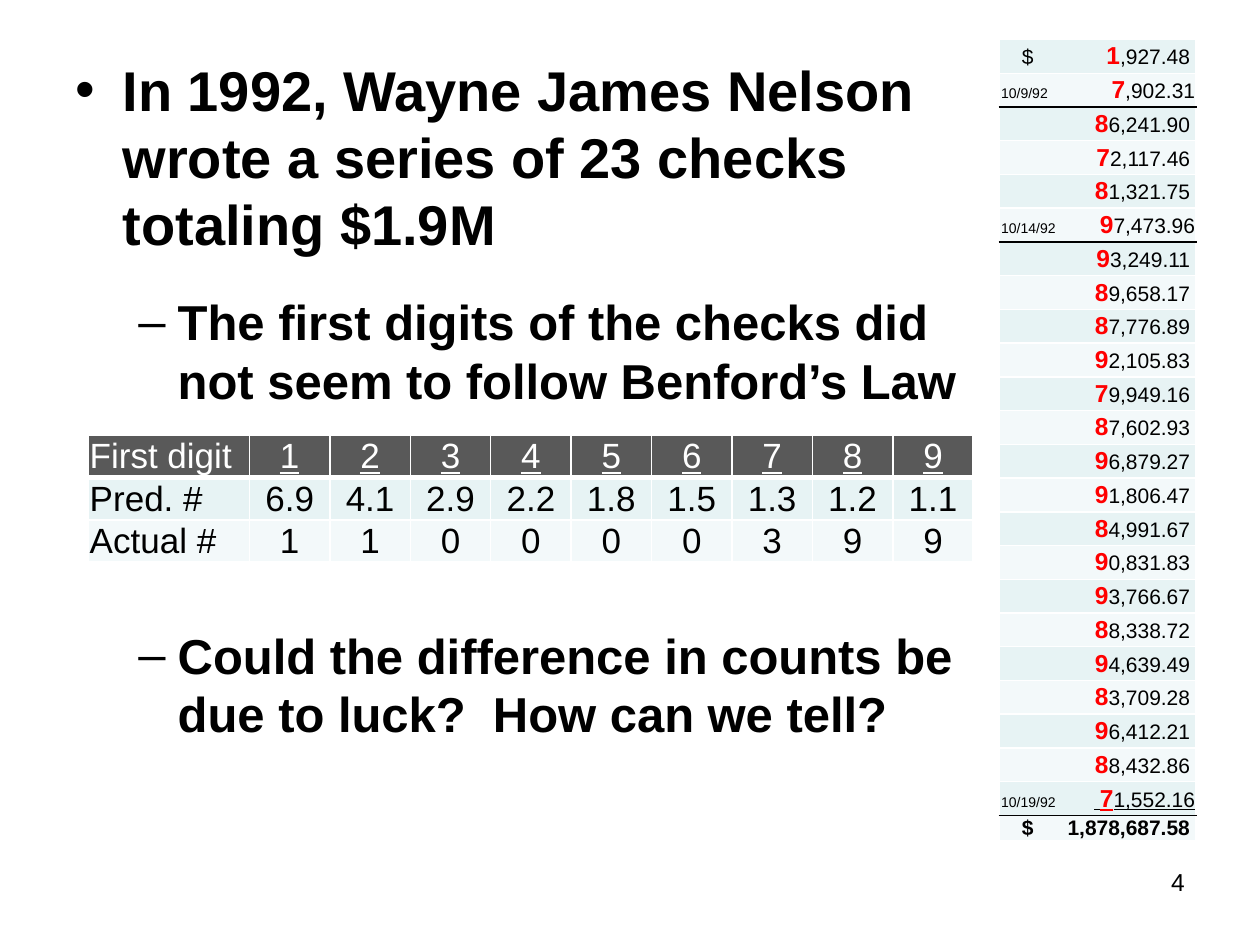
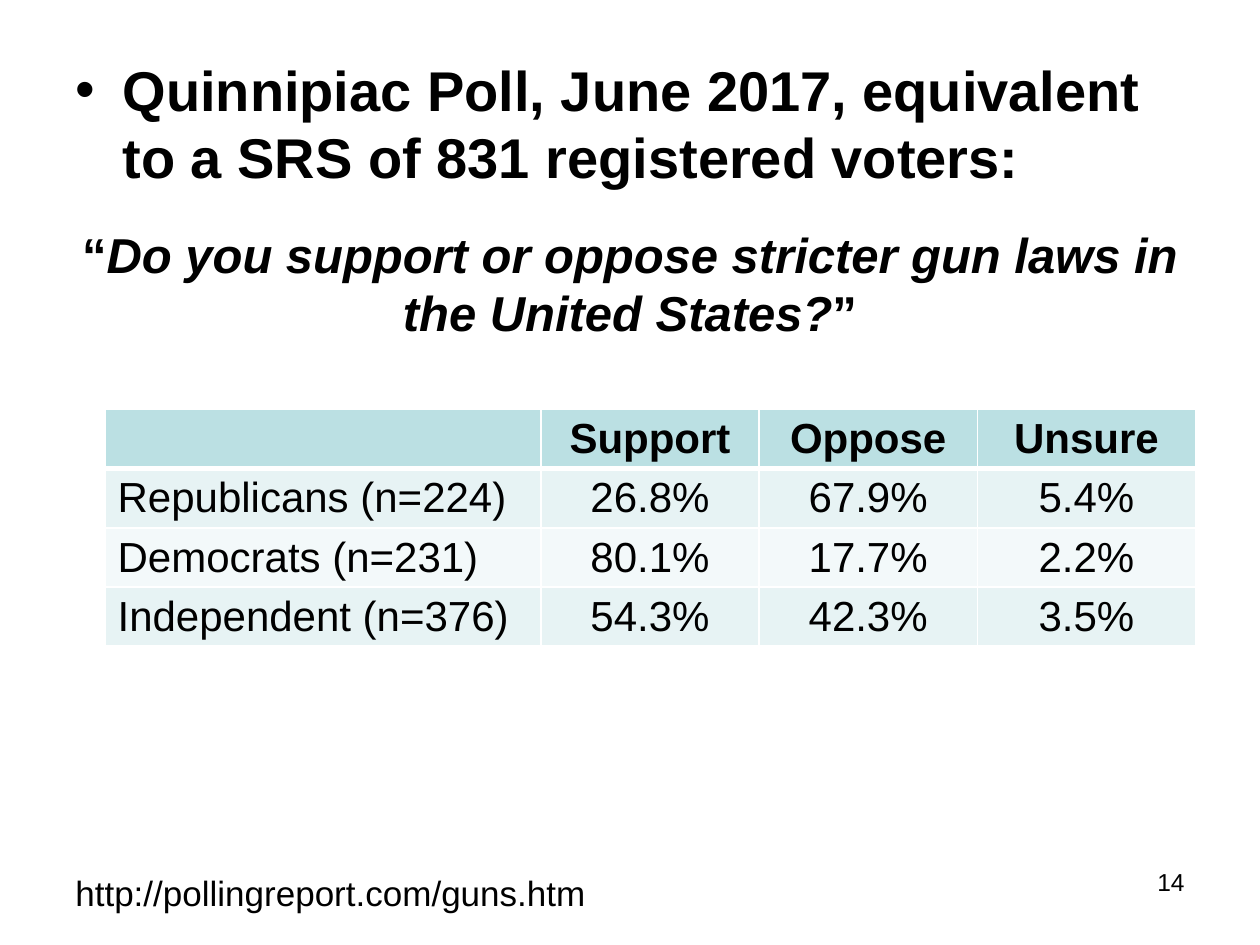
from dataclasses import dataclass

from lxml.etree import SubElement
from pptx import Presentation
from pptx.dml.color import RGBColor
from pptx.enum.text import MSO_ANCHOR, PP_ALIGN
from pptx.oxml.ns import qn
from pptx.util import Pt


@dataclass(frozen=True)
class Theme:
    font: str = "Arial"
    ink: str = "000000"
    paper: str = "FFFFFF"
    accent: str = "FF0000"
    dark_head: str = "595959"
    light_head: str = "BBE0E3"
    bands: tuple = ("E7F3F4", "F3F9FA")
    heading: int = 32
    point: int = 28
    poll: int = 24
    digits: int = 20
    lead_digit: int = 14
    number: int = 14
    check: int = 12
    date: int = 8
    hairline: float = 1
    head_rule: float = 3


THEME = Theme()
HEADING = {"size": THEME.heading, "bold": True}
POINT = {"size": THEME.point, "bold": True}
HEADING_PARA = {"line_spacing": Pt(38.5)}
POINT_PARA = {"line_spacing": Pt(33.4), "space_before": Pt(20)}
BULLET = ("•", 27, -27)
DASH = ("–", 58.5, -22.5)

CHECKS = """1,927.48 7,902.31 86,241.90 72,117.46 81,321.75 97,473.96 93,249.11 89,658.17
87,776.89 92,105.83 79,949.16 87,602.93 96,879.27 91,806.47 84,991.67 90,831.83
93,766.67 88,338.72 94,639.49 83,709.28 96,412.21 88,432.86 71,552.16""".split()
CHECK_DATES = {1: "10/9/92", 5: "10/14/92", 22: "10/19/92"}
TOTAL = "1,878,687.58"
DIGIT_COUNTS = [
    ["First digit", *"123456789"],
    ["Pred. #", "6.9", "4.1", "2.9", "2.2", "1.8", "1.5", "1.3", "1.2", "1.1"],
    ["Actual #", *"110000399"],
]
POLL = [
    ["", "Support", "Oppose", "Unsure"],
    ["Republicans (n=224)", "26.8%", "67.9%", "5.4%"],
    ["Democrats (n=231)", "80.1%", "17.7%", "2.2%"],
    ["Independent (n=376)", "54.3%", "42.3%", "3.5%"],
]


def apply(target, values):
    for name, value in values.items():
        setattr(target, name, value)


class SlideBuilder:
    """Draws text and tables on the current slide in one theme."""

    def __init__(self, theme):
        self.theme = theme
        self.deck = Presentation()
        apply(self.deck, {"slide_width": Pt(720), "slide_height": Pt(540)})
        self.page = None

    def new_page(self, number):
        self.page = self.deck.slides.add_slide(self.deck.slide_layouts[6])
        frame = self.box(516, 492, 168, 37)
        self.fill_para(frame.paragraphs[0], [(str(number), {"size": self.theme.number})],
                       {"alignment": PP_ALIGN.RIGHT})

    def box(self, left, top, width, height, **values):
        box = self.page.shapes.add_textbox(Pt(left), Pt(top), Pt(width), Pt(height))
        apply(box.text_frame, {"word_wrap": True, **values})
        return box.text_frame

    def fill_para(self, para, spans, values=None, bullet=None, tab=None):
        properties = para._p.get_or_add_pPr()
        if bullet:
            mark, margin, indent = bullet
            properties.set("marL", str(Pt(margin)))
            properties.set("indent", str(Pt(indent)))
            SubElement(properties, qn("a:buFont"), typeface=self.theme.font)
            SubElement(properties, qn("a:buChar"), char=mark)
        if tab:
            stops = SubElement(properties, qn("a:tabLst"))
            SubElement(stops, qn("a:tab"), pos=str(Pt(tab)), algn="r")
        apply(para, values or {})
        for text, style in spans:
            span = para.add_run()
            span.text = text
            style = {"name": self.theme.font, "color": self.theme.ink, **style}
            span.font.color.rgb = RGBColor.from_string(style.pop("color"))
            style["size"] = Pt(style["size"])
            apply(span.font, style)

    def body(self, width, paragraphs):
        frame = self.box(36, 27.4, width, 459, margin_top=Pt(4))
        for index, paragraph in enumerate(paragraphs):
            para = frame.add_paragraph() if index else frame.paragraphs[0]
            self.fill_para(para, *paragraph)

    def table(self, left, top, widths, heights):
        frame = self.page.shapes.add_table(len(heights), len(widths), Pt(left), Pt(top),
                                           Pt(sum(widths)), Pt(sum(heights)))
        table = frame.table
        apply(table, {"first_row": False, "horz_banding": False})
        for column, width in zip(table.columns, widths):
            column.width = Pt(width)
        for row, height in zip(table.rows, heights):
            row.height = Pt(height)
        return table

    def cell(self, cell, fill, margins, edges=None):
        sides = ("left", "top", "right", "bottom")
        apply(cell, {f"margin_{side}": Pt(size) for side, size in zip(sides, margins)})
        cell.vertical_anchor = MSO_ANCHOR.MIDDLE
        properties = cell._tc.get_or_add_tcPr()
        for side in "LRTB":
            color, width = (edges or {}).get(side, (self.theme.paper, self.theme.hairline))
            line = SubElement(properties, qn(f"a:ln{side}"), w=str(Pt(width)))
            SubElement(SubElement(line, qn("a:solidFill")), qn("a:srgbClr"), val=color)
        cell.fill.solid()
        cell.fill.fore_color.rgb = RGBColor.from_string(fill)

    def grid(self, left, top, widths, height, rows, margins, size, head_fill, head_style):
        table = self.table(left, top, widths, [height] * len(rows))
        rule = (self.theme.paper, self.theme.head_rule)
        for r, row in enumerate(rows):
            fill = self.theme.bands[(r - 1) % 2] if r else head_fill
            edges = {0: {"B": rule}, 1: {"T": rule}}.get(r)
            for c, text in enumerate(row):
                cell = table.cell(r, c)
                self.cell(cell, fill, margins, edges)
                style = {"size": size, **({} if r else head_style(c))}
                self.fill_para(cell.text_frame.paragraphs[0], [(text, style)] if text else [],
                               {"alignment": PP_ALIGN.CENTER if c else PP_ALIGN.LEFT})

    def ledger(self, left, top, width):
        theme = self.theme
        plain = {"size": theme.check}
        table = self.table(left, top, [width], [19.3] * len(CHECKS) + [14.4])
        rule = (theme.ink, theme.hairline)
        for r, amount in enumerate([*CHECKS, TOTAL]):
            is_total = r == len(CHECKS)
            date = CHECK_DATES.get(r)
            underline = r == len(CHECKS) - 1
            money = {**plain, "underline": underline}
            lead = {**money, "size": theme.lead_digit, "color": theme.accent, "bold": True}
            spans = [(amount[0], lead), (amount[1:], money)]
            if underline:
                spans.insert(0, (" ", money))
            if is_total:
                spans = [(amount, {**plain, "bold": True})]
            indent, right_gap = (1, 0.4) if date else (13, 3.3)
            label = date or ("$" if r == 0 or is_total else "")
            edges = {"B": rule} if date else {"T": rule} if r - 1 in CHECK_DATES else {}
            cell = table.cell(r, 0)
            margins = (indent, 0, 0, 0) if label else (0, 0, right_gap, 0)
            self.cell(cell, theme.bands[r % 2], margins, edges)
            para = cell.text_frame.paragraphs[0]
            if label:
                style = {"size": theme.date if date else theme.check, "bold": is_total}
                self.fill_para(para, [(label, style), ("\t", plain), *spans],
                               tab=width - indent - right_gap)
            else:
                self.fill_para(para, spans, {"alignment": PP_ALIGN.RIGHT})


def add_check_page(builder):
    builder.new_page(4)
    builder.body(535, [
        ([("In 1992, Wayne James Nelson wrote a series of 23 checks totaling $1.9M", HEADING)],
         HEADING_PARA, BULLET),
        ([("The first digits of the checks did not seem to follow Benford’s Law", POINT)],
         POINT_PARA, DASH),
        ([("Could the difference in counts be due to luck?  How can we tell?", POINT)],
         {**POINT_PARA, "space_before": Pt(124)}, DASH),
    ])
    builder.ledger(571, 22.6, 112.4)
    builder.grid(50.6, 249, [92] + [45.95] * 9, 23, DIGIT_COUNTS, (0.7, 0, 0.7, 0),
                 THEME.digits, THEME.dark_head,
                 lambda column: {"color": THEME.paper, "underline": column > 0})


def add_poll_page(builder):
    builder.new_page(14)
    builder.body(648, [
        ([("Quinnipiac Poll, June 2017, equivalent to a SRS of 831 registered voters:", HEADING)],
         HEADING_PARA, BULLET),
        ([("“", POINT),
          ("Do you support or oppose stricter gun laws in the United States?",
           {**POINT, "italic": True}),
          ("”", POINT)],
         {**POINT_PARA, "alignment": PP_ALIGN.CENTER}),
    ])
    builder.grid(60, 234, [249.1] + [124.7] * 3, 33.7, POLL, (7.2, 2.5, 7.2, 2.5),
                 THEME.poll, THEME.light_head, lambda column: {"bold": True})
    link = builder.box(36, 492, 474, 36, vertical_anchor=MSO_ANCHOR.MIDDLE)
    builder.fill_para(link.paragraphs[0],
                      [("http://pollingreport.com/guns.htm", {"size": THEME.digits})])


def main():
    builder = SlideBuilder(THEME)
    add_check_page(builder)
    add_poll_page(builder)
    builder.deck.save("out.pptx")


if __name__ == "__main__":
    main()
